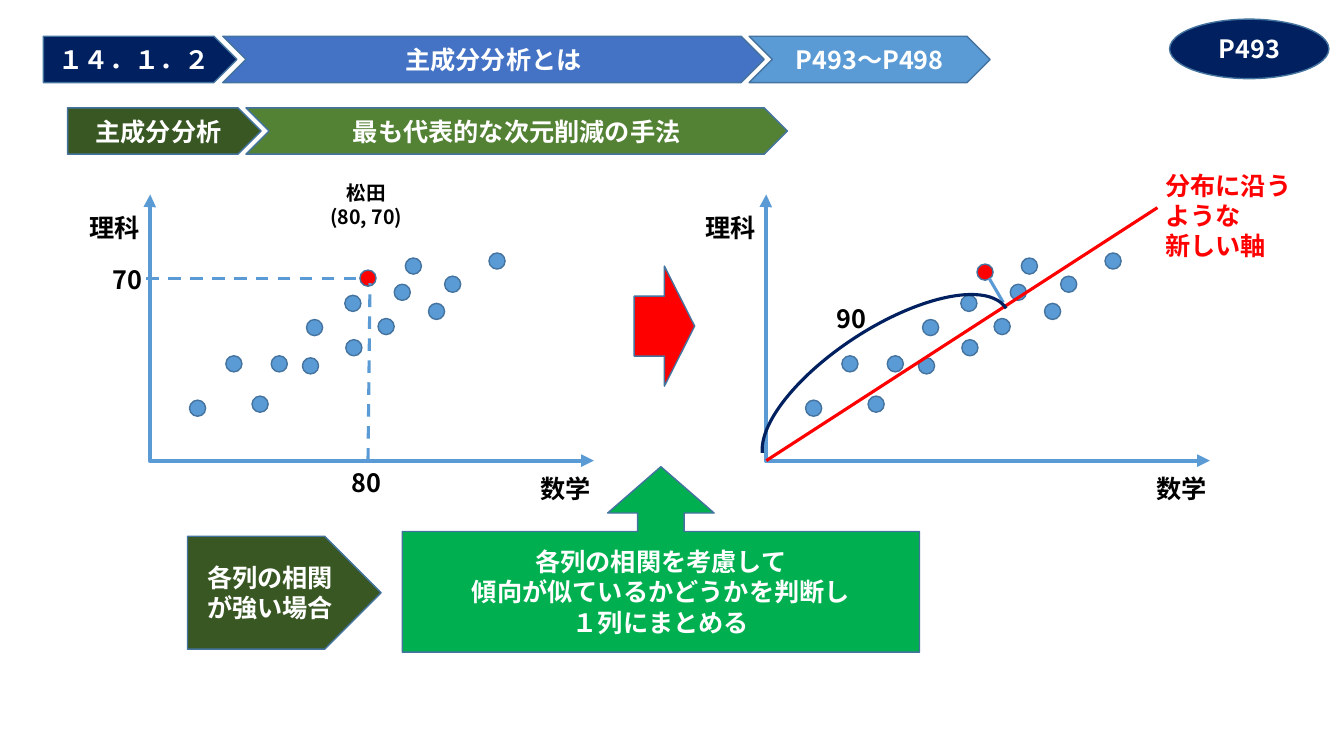
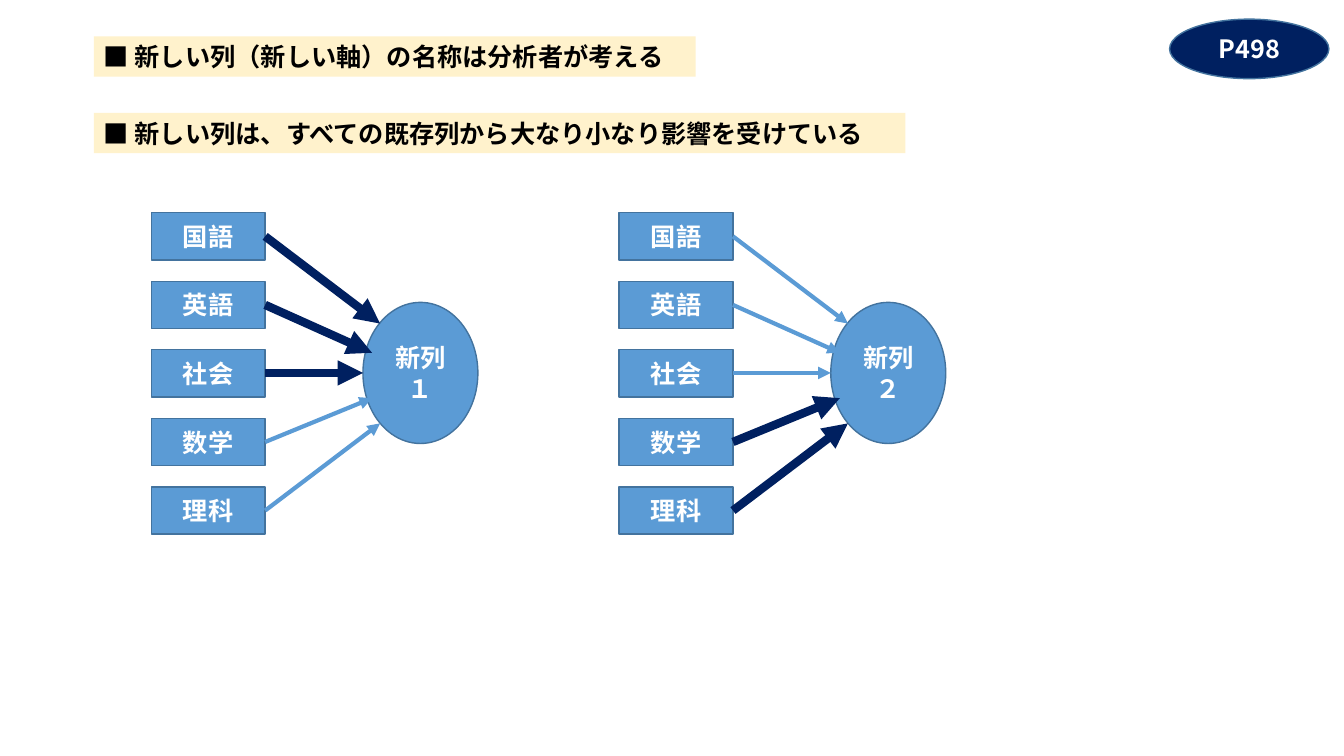
import dataclasses
import typing

import lxml.etree
import pptx
import pptx.dml.color
import pptx.enum.dml
import pptx.enum.shapes
import pptx.enum.text
import pptx.oxml.ns
import pptx.util

Inches = pptx.util.Inches
Pt = pptx.util.Pt
Kind = pptx.enum.shapes.MSO_SHAPE
Wire = pptx.enum.shapes.MSO_CONNECTOR
Align = pptx.enum.text.PP_ALIGN
Anchor = pptx.enum.text.MSO_ANCHOR
Box = tuple[float, float, float, float]
Spot = tuple[float, float]


@dataclasses.dataclass(frozen=True)
class Theme:
    font: str = "Noto Sans CJK JP"
    size: float = 18
    small: float = 14
    thin: float = 1
    mid: float = 2.25
    thick: float = 3
    heavy: float = 6
    white: str = "FFFFFF"
    black: str = "000000"
    navy: str = "002060"
    royal: str = "4472C4"
    blue: str = "5B9BD5"
    edge: str = "43739E"
    forest: str = "385723"
    olive: str = "548235"
    green: str = "00B050"
    red: str = "FF0000"
    cream: str = "FFF2CC"


THEME = Theme()


@dataclasses.dataclass(frozen=True)
class Block:
    kind: Kind
    at: Box
    fill: str
    text: str = ""
    tweaks: tuple[float, ...] = ()


@dataclasses.dataclass(frozen=True)
class Label:
    at: Box
    text: str
    color: str = THEME.black
    size: float = THEME.size
    align: Align = Align.LEFT


@dataclasses.dataclass(frozen=True)
class Line:
    start: Spot
    end: Spot
    color: str = THEME.blue
    width: float = THEME.mid
    dash: bool = False
    ends: tuple[str, ...] = ()
    bend: typing.Optional[int] = None


@dataclasses.dataclass(frozen=True)
class Graph:
    left: float
    name: str
    heavy: tuple[int, ...]


def rgb(code: str) -> pptx.dml.color.RGBColor:
    return pptx.dml.color.RGBColor.from_string(code)


def format(item: typing.Any, values: dict[str, typing.Any]) -> None:
    for name, value in values.items():
        setattr(item, name, value)


def place(item: typing.Any, at: Box) -> None:
    format(item, dict(zip(("left", "top", "width", "height"), map(Inches, at))))


def paint(item: typing.Any, color: str) -> None:
    item.fill.solid()
    item.fill.fore_color.rgb = rgb(color)


def node(home: typing.Any, tag: str, **values: str) -> typing.Any:
    return lxml.etree.SubElement(home, pptx.oxml.ns.qn(tag), **values)


def write(item: typing.Any, text: str, color: str, align: Align,
          anchor: Anchor, size: float = THEME.size) -> None:
    frame = item.text_frame
    frame.text = text
    format(frame, {"word_wrap": True, "vertical_anchor": anchor,
                   "auto_size": pptx.enum.text.MSO_AUTO_SIZE.NONE})
    for para in frame.paragraphs:
        format(para, {"alignment": align, "space_before": Pt(0)})
        for run in para.runs:
            run.font.color.rgb = rgb(color)
            format(run.font, {"size": Pt(size), "bold": True, "name": THEME.font})
            node(run.font._element, "a:ea", typeface=THEME.font)


def block(slide: typing.Any, data: Block) -> None:
    item = slide.shapes.add_shape(data.kind, *map(Inches, data.at))
    item.shadow.inherit = False
    paint(item, data.fill)
    format(item.line, {"width": Pt(THEME.thin)})
    item.line.color.rgb = rgb(THEME.edge)
    for index, tweak in enumerate(data.tweaks):
        item.adjustments[index] = tweak
    if data.text:
        write(item, data.text, THEME.white, Align.CENTER, Anchor.MIDDLE)


def label(slide: typing.Any, data: Label) -> None:
    item = slide.shapes.add_textbox(*map(Inches, data.at))
    write(item, data.text, data.color, data.align, Anchor.TOP, data.size)


def line(slide: typing.Any, data: Line) -> None:
    kind = Wire.STRAIGHT if data.bend is None else Wire.ELBOW
    item = slide.shapes.add_connector(kind, *map(Inches, data.start + data.end))
    item.line.color.rgb = rgb(data.color)
    item.line.width = Pt(data.width)
    if data.dash:
        item.line.dash_style = pptx.enum.dml.MSO_LINE.DASH
    props = item.element.spPr
    for end in data.ends:
        node(props.find(pptx.oxml.ns.qn("a:ln")), end, type="triangle")
    node(props, "a:effectLst")
    if data.bend is not None:
        geom = props.find(pptx.oxml.ns.qn("a:prstGeom"))
        for old in geom.findall(pptx.oxml.ns.qn("a:avLst")):
            geom.remove(old)
        node(node(geom, "a:avLst"), "a:gd", name="adj1", fmla=f"val {data.bend}")


def badge(slide: typing.Any, text: str) -> None:
    block(slide, Block(Kind.OVAL, (11.6, 0.19, 1.58, 0.59), THEME.navy, text))


DOTS = ((1.88, 3.97), (2.24, 3.53), (2.5, 3.93), (2.69, 3.53), (3.04, 3.17),
        (3.42, 2.93), (3, 3.55), (3.43, 3.37), (3.75, 3.16), (3.91, 2.82),
        (4.25, 3.01), (4.41, 2.74), (4.02, 2.56), (4.85, 2.51))
SHIFT = 6.11


def dot(slide: typing.Any, spot: Spot, color: str) -> None:
    block(slide, Block(Kind.FLOWCHART_CONNECTOR, spot + (0.16, 0.16), color))


def plot(slide: typing.Any, shift: float, mark: Spot) -> None:
    for left, top in DOTS:
        dot(slide, (left + shift, top), THEME.blue)
    dot(slide, mark, THEME.red)
    line(slide, Line((1.49 + shift, 1.93), (5.89 + shift, 4.57), width=THEME.thick,
                     ends=("a:headEnd", "a:tailEnd"), bend=-100))
    label(slide, Label((0.79 + shift, 2.06, 0.84, 0.4), "理科"))
    label(slide, Label((5.26 + shift, 4.65, 0.84, 0.4), "数学"))


def method(slide: typing.Any) -> None:
    head = (2.21, 0.36, 5.37, 0.46)
    for data in (
        Block(Kind.PENTAGON, (0.43, 0.36, 1.92, 0.46), THEME.navy, "１４．１．２"),
        Block(Kind.CHEVRON, head, THEME.royal),
        Block(Kind.CHEVRON, (7.43, 0.36, 2.39, 0.46), THEME.blue, "P493～P498"),
        Block(Kind.PENTAGON, (0.67, 1.07, 1.92, 0.46), THEME.forest, "主成分分析"),
        Block(Kind.CHEVRON, (2.44, 1.07, 5.37, 0.46), THEME.olive,
              "最も代表的な次元削減の手法"),
        Block(Kind.RIGHT_ARROW, (6.29, 2.64, 0.6, 1.19), THEME.red),
        Block(Kind.UP_ARROW_CALLOUT, (3.99, 4.63, 5.13, 1.84), THEME.green,
              "各列の相関を考慮して\n傾向が似ているかどうかを判断し\n１列にまとめる",
              (0.25, 0.287, 0.25, 0.65)),
        Block(Kind.PENTAGON, (1.86, 5.32, 1.92, 1.12), THEME.forest,
              "各列の相関\nが強い場合"),
    ):
        block(slide, data)
    title = slide.shapes.title
    place(title, head)
    write(title, "主成分分析とは", THEME.white, Align.CENTER, Anchor.MIDDLE)
    title.element.getparent().append(title.element)
    badge(slide, "P493")

    plot(slide, 0, (3.57, 2.68))
    plot(slide, SHIFT, (9.69, 2.62))
    for data in (
        Line((7.6, 4.57), (11.48, 2.06), THEME.red),
        Line((1.45, 2.76), (3.61, 2.76), dash=True),
        Line((3.65, 4.57), (3.67, 2.81), dash=True),
        Line((9.81, 2.76), (9.95, 3)),
    ):
        line(slide, data)
    arc = slide.shapes.add_shape(Kind.ARC, *map(Inches, (7.37, 3.26, 2.84, 1.15)))
    arc.shadow.inherit = False
    arc.fill.background()
    arc.line.color.rgb = rgb(THEME.navy)
    arc.line.width = Pt(THEME.mid)
    arc.rotation = 326.9
    arc.adjustments[0] = 110.94
    arc.adjustments[1] = 0
    for data in (
        Label((3.03, 1.75, 1.21, 0.57), "松田\n(80, 70)", size=THEME.small,
              align=Align.CENTER),
        Label((1.02, 2.57, 0.54, 0.4), "70"),
        Label((3.39, 4.59, 0.54, 0.4), "80"),
        Label((8.2, 2.96, 0.54, 0.4), "90"),
        Label((11.46, 1.64, 1.61, 1.01), "分布に沿う\nような\n新しい軸", THEME.red),
    ):
        label(slide, data)


TOPICS = ("国語", "英語", "社会", "数学", "理科")
TIPS = ((2.27, 3.21), (2.19, 3.5), (2.1, 3.7), (2.19, 3.95), (2.27, 4.2))


def graph(slide: typing.Any, data: Graph) -> None:
    wide, tall, pitch, top = 1.13, 0.47, 0.68, 2.11
    block(slide, Block(Kind.OVAL, (data.left + 2.1, 3, 1.14, 1.4), THEME.blue, data.name))
    for index, (topic, tip) in enumerate(zip(TOPICS, TIPS)):
        row = top + index * pitch
        block(slide, Block(Kind.RECTANGLE, (data.left, row, wide, tall), THEME.blue, topic))
        heavy = index in data.heavy
        start = (data.left + wide, 3.7 if index == 2 else row + tall / 2)
        line(slide, Line(start, (data.left + tip[0], tip[1]),
                         THEME.navy if heavy else THEME.blue,
                         THEME.heavy if heavy else THEME.thick, ends=("a:tailEnd",)))


def band(item: typing.Any, at: Box, text: str) -> None:
    place(item, at)
    paint(item, THEME.cream)
    write(item, text, THEME.black, Align.LEFT, Anchor.TOP)


def effect(slide: typing.Any) -> None:
    band(slide.shapes.title, (0.93, 0.36, 5.97, 0.4),
         "■ 新しい列（新しい軸）の名称は分析者が考える")
    body = slide.placeholders[1]
    band(body, (0.93, 1.12, 8.05, 0.4),
         "■ 新しい列は、すべての既存列から大なり小なり影響を受けている")
    for para in body.text_frame.paragraphs:
        props = para._p.get_or_add_pPr()
        props.set("marL", "0")
        props.set("indent", "0")
        node(props, "a:buNone")
    for data in (Graph(1.5, "新列１", (0, 1, 2)), Graph(6.14, "新列２", (3, 4))):
        graph(slide, data)
    badge(slide, "P498")


def main() -> None:
    deck = pptx.Presentation()
    format(deck, {"slide_width": Inches(13.33), "slide_height": Inches(7.5)})
    for layout, draw in ((5, method), (1, effect)):
        draw(deck.slides.add_slide(deck.slide_layouts[layout]))
    deck.save("out.pptx")


if __name__ == "__main__":
    main()
